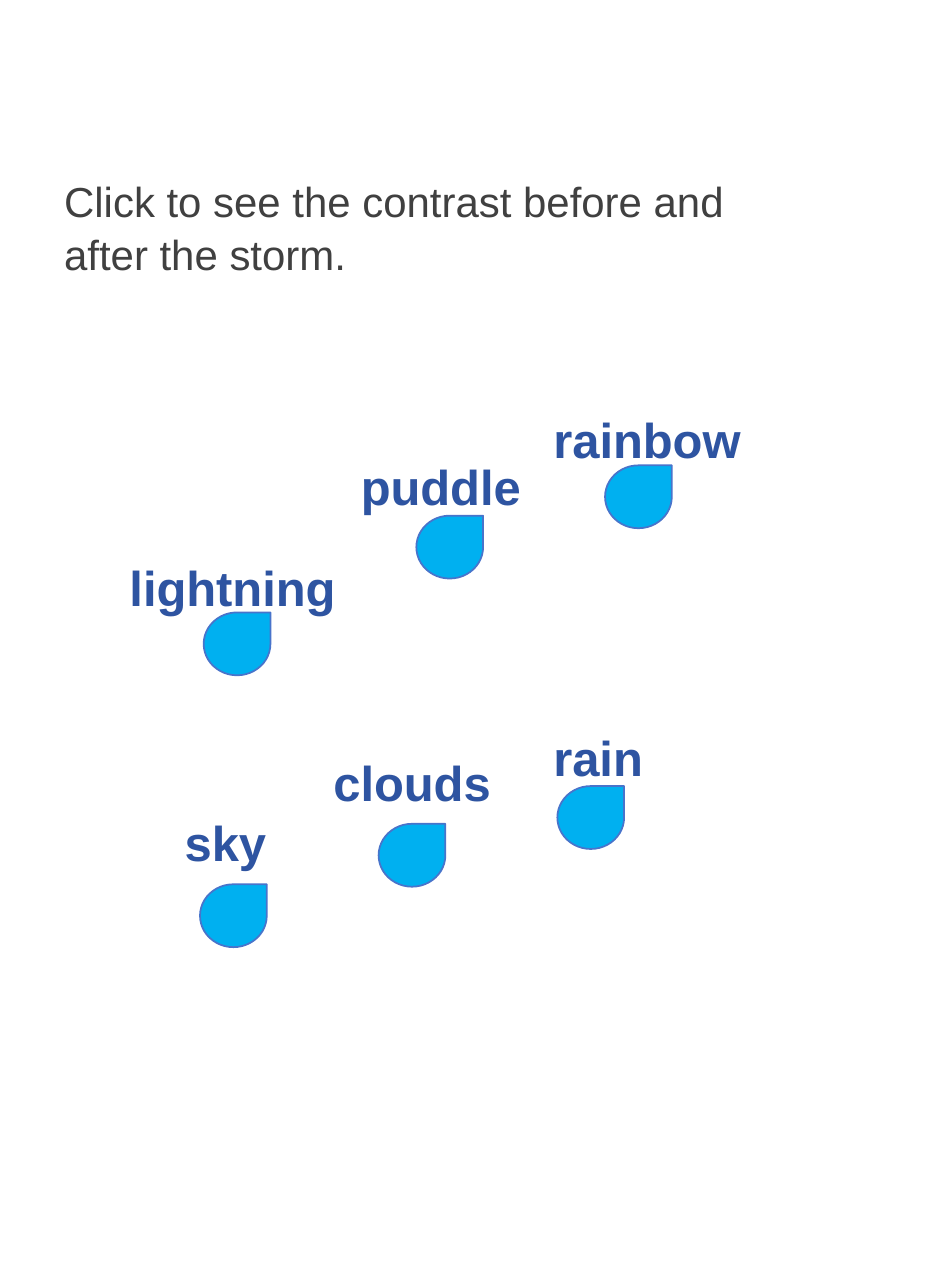
from pptx import Presentation
from pptx.dml.color import RGBColor
from pptx.enum.shapes import MSO_SHAPE
from pptx.enum.text import MSO_ANCHOR, MSO_AUTO_SIZE, PP_ALIGN
from pptx.util import Pt

TEARDROP = MSO_SHAPE.TEAR
TOP = MSO_ANCHOR.TOP
LEFT = PP_ALIGN.LEFT
NO_AUTOFIT = MSO_AUTO_SIZE.NONE
TITLE_ONLY = 5
DROP_WIDTH, DROP_HEIGHT = 38.2, 36

# Word, label box (left, top, width, height), extra indent, drop offset from the box
WORDS = [
    ("lightning", (67, 313.2, 133.2, 29.5), 0, (49.6, 37.4)),
    ("puddle", (199.4, 255.6, 109.4, 38.2), 0, (38.9, 39.6)),
    ("rainbow", (309.6, 228.2, 130.3, 28.1), 0, (36.7, 38.2)),
    ("sky", (98.6, 459.4, 74.2, 37.4), 0, (15.9, 46.8)),
    ("clouds", (178.6, 424.8, 113.8, 40.3), 5, (38.1, 46.8)),
    ("rain", (309.6, 410.4, 74.9, 33.1), 0, (9.4, 39.6)),
]


def color(hex_value):
    return RGBColor.from_string(hex_value)


def write(shape, text, size, hex_value, bold=False, indent=0):
    frame = shape.text_frame
    frame.text = text
    frame.word_wrap = True
    frame.auto_size = NO_AUTOFIT
    frame.vertical_anchor = TOP
    frame.margin_left = Pt(7.2 + indent)
    frame.margin_top = Pt(6)
    para = frame.paragraphs[0]
    para.alignment = LEFT
    para.font.name = "Arial"
    para.font.size = Pt(size)
    para.font.bold = bold
    para.font.color.rgb = color(hex_value)
    return para


def add_prompt(page, left, top, width, height):
    title = page.shapes.title
    title.left, title.top = Pt(left), Pt(top)
    title.width, title.height = Pt(width), Pt(height)
    para = write(title, "Click to see the contrast before and after the storm.",
                 24, "404040")
    para.line_spacing = 1.04


def add_word(page, word, box, indent, drop_offset):
    left, top, width, height = box
    # Teardrop below the word
    drop = page.shapes.add_shape(
        TEARDROP, Pt(left + drop_offset[0]), Pt(top + drop_offset[1]),
        Pt(DROP_WIDTH), Pt(DROP_HEIGHT))
    drop.shadow.inherit = False
    drop.fill.solid()
    drop.fill.fore_color.rgb = color("00B0F0")
    drop.line.color.rgb = color("4874CB")
    drop.line.width = Pt(1)
    # Word label
    label = page.shapes.add_textbox(Pt(left), Pt(top), Pt(width), Pt(height))
    write(label, word, 28, "2E54A1", bold=True, indent=indent)


def main():
    deck = Presentation()
    deck.slide_width, deck.slide_height = Pt(538.56), Pt(737.28)
    page = deck.slides.add_slide(deck.slide_layouts[TITLE_ONLY])
    page.background.fill.solid()
    page.background.fill.fore_color.rgb = color("FFFFFF")
    add_prompt(page, 29.5, 93.6, 400.3, 65.5)
    for word, box, indent, drop_offset in WORDS:
        add_word(page, word, box, indent, drop_offset)
    deck.save("out.pptx")


if __name__ == "__main__":
    main()
